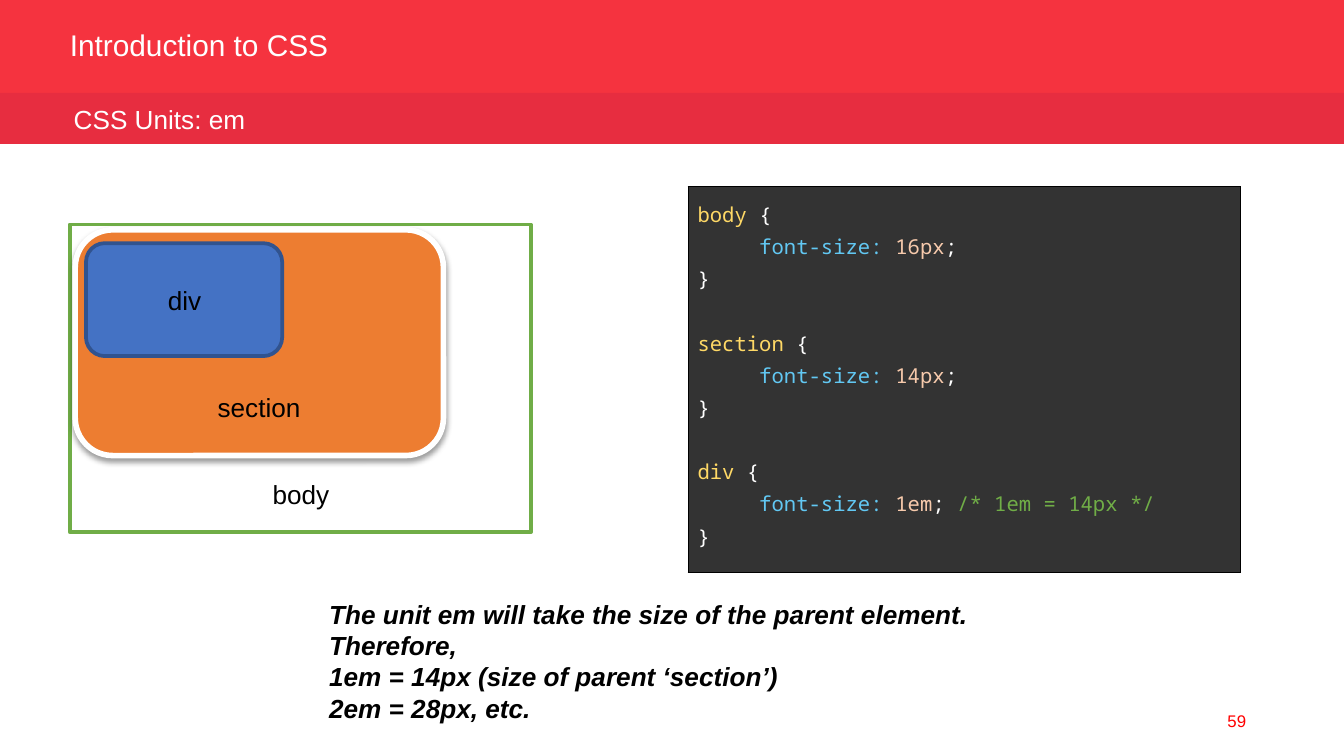
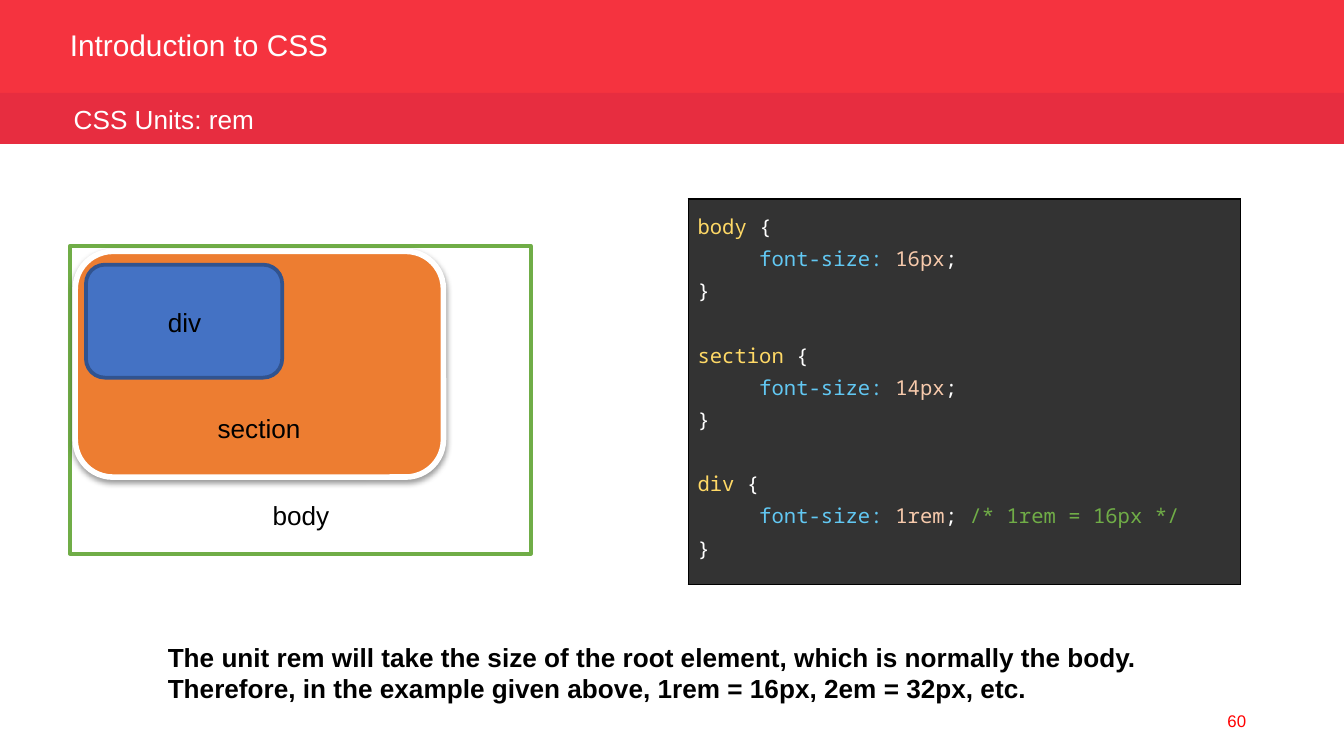
from lxml import etree
from pptx import Presentation
from pptx.dml.color import RGBColor
from pptx.enum import shapes, text
from pptx.oxml import parse_xml
from pptx.oxml.ns import nsdecls, qn
from pptx.util import Inches, Pt

WHITE = RGBColor(0xFF, 0xFF, 0xFF)
BLACK = RGBColor(0, 0, 0)
BAND = RGBColor(0xF5, 0x33, 0x3F)
SUBBAND = RGBColor(0xE7, 0x2D, 0x40)
PAGE_RED = RGBColor(0xFF, 0, 0)
GREEN = RGBColor(0x70, 0xAD, 0x47)
ORANGE = RGBColor(0xED, 0x7D, 0x31)
BLUE = RGBColor(0x44, 0x72, 0xC4)
NAVY = RGBColor(0x31, 0x53, 0x8F)
CODE_BG = RGBColor(0x33, 0x33, 0x33)
SELECTOR = RGBColor(0xFF, 0xD9, 0x66)
PROPERTY = RGBColor(0x62, 0xC8, 0xF3)
VALUE = RGBColor(0xF7, 0xCA, 0xAC)
SANS, MONO = "Arial", "Noto Sans Mono"

# Content: each note paragraph is a list of lines
TITLE = "Introduction to CSS"
SLIDES = [
    dict(
        page=59, subtitle="CSS Units: em", code_top=1.39, diagram_top=1.67,
        rules=[("body", "16px", ""), ("section", "14px", ""),
               ("div", "1em", "/* 1em = 14px */")],
        note=[["The unit em will take the size of the parent element."],
              ["Therefore, ",
               "1em = 14px (size of parent ‘section’)",
               "2em = 28px, etc."]],
        note_at=(2.35, 4.4, 5.31, 1.03), italic=True),
    dict(
        page=60, subtitle="CSS Units: rem", code_top=1.48, diagram_top=1.83,
        rules=[("body", "16px", ""), ("section", "14px", ""),
               ("div", "1rem", "/* 1rem = 16px */")],
        note=[["The unit rem will take the size of the root element, "
               "which is normally the body."],
              ["Therefore, in the example given above, "
               "1rem = 16px, 2em = 32px, etc."]],
        note_at=(1.15, 4.72, 7.51, 0.57), italic=False),
]

# Nested boxes and their labels; tops are measured from the diagram top
RECT = shapes.MSO_SHAPE.RECTANGLE
ROUND = shapes.MSO_SHAPE.ROUNDED_RECTANGLE
BOXES = [
    (RECT, (0.52, 0, 3.43, 2.29), WHITE, GREEN, 2),
    (ROUND, (0.56, 0.04, 2.74, 1.68), ORANGE, WHITE, 3),
    (ROUND, (0.64, 0.14, 1.46, 0.84), BLUE, NAVY, 2),
]
LABELS = [("body", 1.93, 1.84, 0.63), ("section", 1.52, 1.19, 0.82),
          ("div", 1.15, 0.4, 0.45)]


def add_run(p, txt, size=14, color=BLACK, font=SANS, bold=False, italic=False):
    r = p.add_run()
    r.text = txt
    f = r.font
    f.name, f.size, f.bold, f.italic = font, Pt(size), bold, italic
    f.color.rgb = color


def add_text(s, at, paragraphs, wrap=True, align=text.PP_ALIGN.LEFT,
             anchor=text.MSO_ANCHOR.TOP, **fmt):
    tf = s.shapes.add_textbox(*map(Inches, at)).text_frame
    tf.word_wrap, tf.vertical_anchor = wrap, anchor
    for i, lines in enumerate(paragraphs):
        p = tf.add_paragraph() if i else tf.paragraphs[0]
        p.alignment = align
        for j, line in enumerate(lines):
            if j:
                p.add_line_break()
            add_run(p, line, **fmt)


def add_box(s, kind, at, fill, line=None, width=0):
    sp = s.shapes.add_shape(kind, *map(Inches, at))
    sp.shadow.inherit = False
    sp.fill.solid()
    sp.fill.fore_color.rgb = fill
    if line is None:
        sp.line.fill.background()
    else:
        sp.line.color.rgb = line
        sp.line.width = Pt(width)
    return sp


def add_shadow(sp):
    effects = sp._element.spPr.find(qn("a:effectLst"))
    effects.append(parse_xml(
        f'<a:outerShdw {nsdecls("a")} blurRad="{Pt(3.1)}" dist="{Pt(1.6)}" '
        'dir="5400000" rotWithShape="0"><a:srgbClr val="000000">'
        '<a:alpha val="38000"/></a:srgbClr></a:outerShdw>'))


def add_frame(s, subtitle, page):
    # Bands go behind the title placeholder
    bands = [((0, 0, 10, 0.7), BAND), ((0, 0.69, 10, 0.38), SUBBAND)]
    for i, (at, color) in enumerate(bands):
        sp = add_box(s, RECT, at, color)
        s.shapes._spTree.insert(2 + i, sp._element)
    title = s.shapes.title
    title.left, title.top, title.width, title.height = map(
        Inches, (0.42, 0.14, 4.69, 0.44))
    tf = title.text_frame
    tf.vertical_anchor = text.MSO_ANCHOR.MIDDLE
    p = tf.paragraphs[0]
    p.alignment, p.line_spacing = text.PP_ALIGN.LEFT, 0.8
    add_run(p, TITLE, size=16, color=WHITE)
    add_text(s, (0.45, 0.72, 4.24, 0.34), [[subtitle]], color=WHITE)
    add_text(s, (7.12, 5.21, 2.25, 0.3), [[str(page)]], size=9, color=PAGE_RED,
             align=text.PP_ALIGN.RIGHT, anchor=text.MSO_ANCHOR.MIDDLE)


def code_lines(rules):
    lines = []
    for selector, value, comment in rules:
        if lines:
            lines.append([])
        space = (" ", PROPERTY)
        declaration = [("     font-size: ", PROPERTY), (value, VALUE),
                       (";", WHITE), space]
        if comment:
            declaration.append((comment, GREEN))
        lines += [[(selector, SELECTOR), space, ("{", WHITE), space],
                  declaration, [("}", WHITE)]]
    return lines


def add_code(s, top, rules):
    table = s.shapes.add_table(
        1, 1, *map(Inches, (5.12, top, 4.11, 2.87))).table
    table.first_row = table.horz_banding = False
    cell = table.cell(0, 0)
    tcPr = cell._tc.get_or_add_tcPr()
    for side in ("lnL", "lnR", "lnT", "lnB"):
        tcPr.append(parse_xml(
            f'<a:{side} {nsdecls("a")} w="{Pt(0.75)}"><a:solidFill>'
            f'<a:srgbClr val="{BLACK}"/></a:solidFill></a:{side}>'))
    cell.fill.solid()
    cell.fill.fore_color.rgb = CODE_BG
    cell.margin_left = cell.margin_right = Inches(0.07)
    cell.margin_top = cell.margin_bottom = Inches(0.07)
    tf = cell.text_frame
    for i, tokens in enumerate(code_lines(rules)):
        p = tf.add_paragraph() if i else tf.paragraphs[0]
        p.line_spacing = 1.15
        for txt, color in tokens:
            add_run(p, txt, size=11, color=color, font=MONO)
        if not tokens:
            end = etree.SubElement(p._p, qn("a:endParaRPr"), sz="1100")
            etree.SubElement(end, qn("a:latin"), typeface=MONO)


def add_diagram(s, top):
    for kind, (x, y, w, h), fill, line, width in BOXES:
        sp = add_box(s, kind, (x, top + y, w, h), fill, line, width)
        if fill == ORANGE:
            add_shadow(sp)
    for label, x, y, w in LABELS:
        add_text(s, (x, top + y, w, 0.34), [[label]], wrap=False)


def main():
    prs = Presentation()
    # Widescreen, 16:9
    prs.slide_width = Inches(10)
    prs.slide_height = prs.slide_width * 9 // 16
    for d in SLIDES:
        s = prs.slides.add_slide(prs.slide_layouts[5])
        add_frame(s, d["subtitle"], d["page"])
        add_code(s, d["code_top"], d["rules"])
        add_text(s, d["note_at"], d["note"], bold=True, italic=d["italic"])
        add_diagram(s, d["diagram_top"])
    prs.save("out.pptx")


if __name__ == "__main__":
    main()
